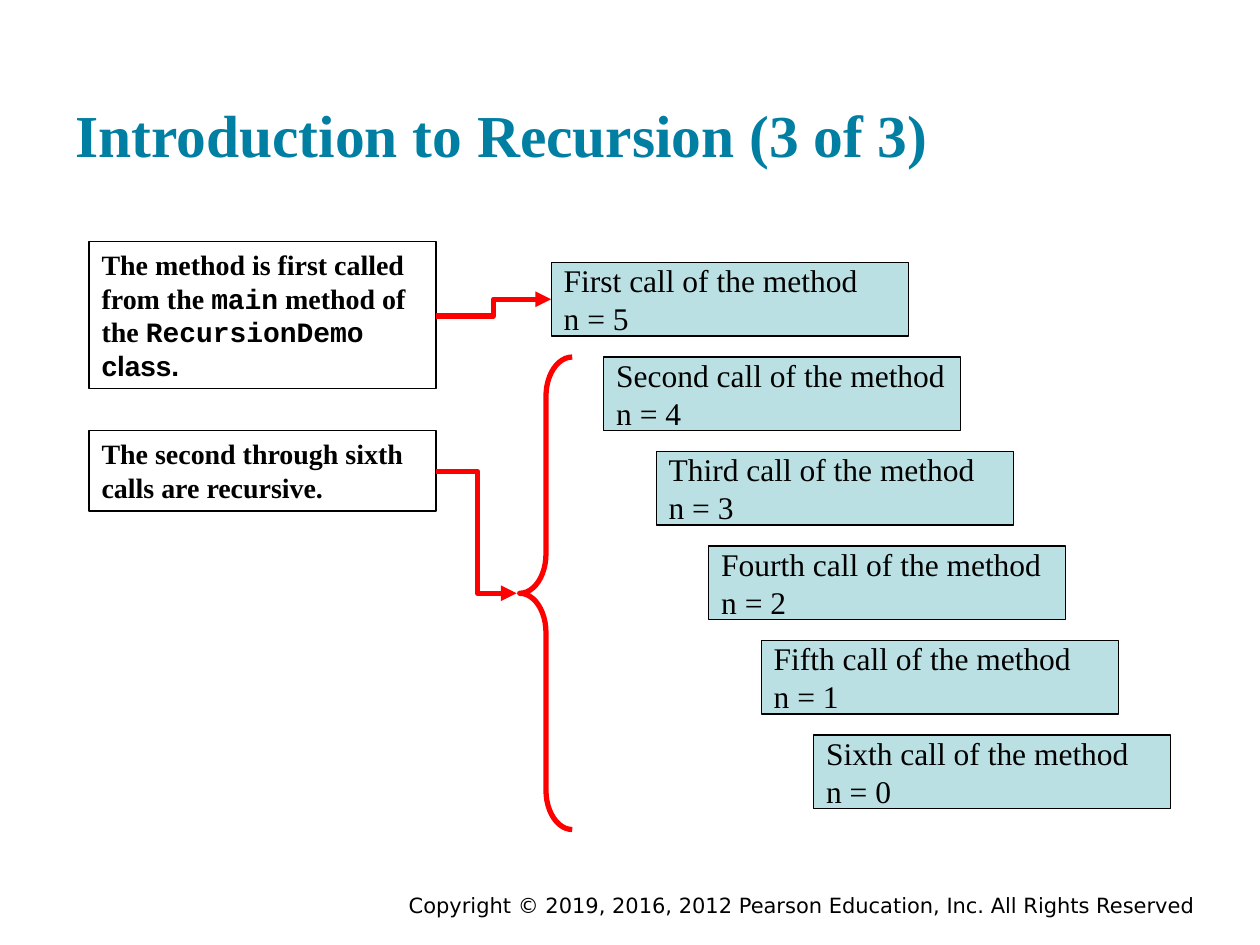
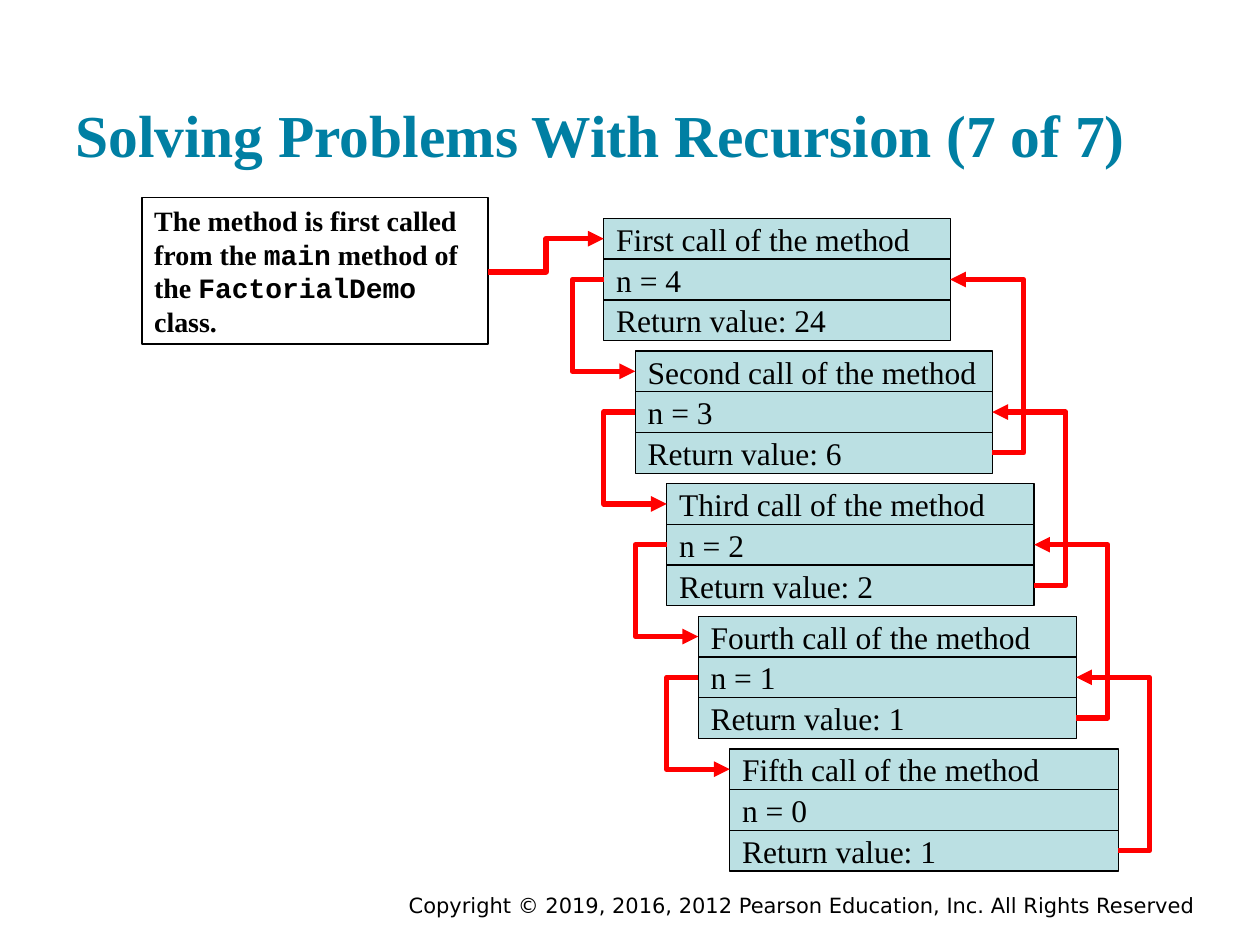
from pptx import Presentation
from pptx.dml.color import RGBColor
from pptx.enum.shapes import MSO_CONNECTOR, MSO_SHAPE
from pptx.enum.text import MSO_ANCHOR, MSO_AUTO_SIZE, PP_ALIGN
from pptx.oxml.ns import qn
from pptx.util import Inches, Pt
from lxml.etree import SubElement

BLACK = RGBColor(0x00, 0x00, 0x00)
TEAL = RGBColor(0x00, 0x7F, 0xA3)
PALE_BLUE = RGBColor(0xBB, 0xE0, 0xE3)
RED = RGBColor(0xFF, 0x00, 0x00)
SERIF = "Times New Roman"
SANS = "Arial"
MONO = "Courier New"
COPYRIGHT = "Copyright © 2019, 2016, 2012 Pearson Education, Inc. All Rights Reserved"
ORDINALS = ["First", "Second", "Third", "Fourth", "Fifth", "Sixth"]

COLS, ROWS = 120, 90
UNIT = Inches(10) / COLS
NOTE_W, NOTE_H = 33, 14
CALL_W = 34


def grid(*values):
    return [round(v * UNIT) for v in values]


def add_run(p, text, size, font=SERIF, color=BLACK, bold=False):
    r = p.add_run()
    r.text = text
    r.font.size = Pt(size)
    r.font.name = font
    r.font.color.rgb = color
    r.font.bold = bold


def style_title_layout(layout):
    sp = layout.placeholders[0]
    sp.left, sp.top, sp.width, sp.height = grid(6, 2.9, 108, 14.4)
    tf = sp.text_frame
    tf.vertical_anchor = MSO_ANCHOR.BOTTOM
    tf.margin_left = tf.margin_right = Inches(0.1)
    tf.margin_top = tf.margin_bottom = Inches(0.1)
    tf.auto_size = MSO_AUTO_SIZE.NONE


def add_slide(prs, layout, title):
    s = prs.slides.add_slide(layout)
    footer = s.shapes.add_textbox(*grid(21, 84.4, 94, 2.6))
    footer.text_frame.word_wrap = True
    p = footer.text_frame.paragraphs[0]
    p.alignment = PP_ALIGN.RIGHT
    add_run(p, COPYRIGHT, 12, "DejaVu Sans")
    p = s.shapes.title.text_frame.paragraphs[0]
    p.alignment = PP_ALIGN.LEFT
    add_run(p, title, 34, color=TEAL, bold=True)
    return s


def add_box(s, x, y, w, h, line_width):
    sp = s.shapes.add_shape(MSO_SHAPE.RECTANGLE, *grid(x, y, w, h))
    sp.shadow.inherit = False
    sp.fill.background()
    sp.line.color.rgb = BLACK
    sp.line.width = Pt(line_width)
    return sp


def add_call(s, x, y, w, h, lines):
    sp = add_box(s, x, y, w, h, 0.75)
    sp.fill.solid()
    sp.fill.fore_color.rgb = PALE_BLUE
    tf = sp.text_frame
    tf.word_wrap = False
    tf.vertical_anchor = MSO_ANCHOR.MIDDLE
    for i, line in enumerate(lines):
        p = tf.add_paragraph() if i else tf.paragraphs[0]
        p.alignment = PP_ALIGN.LEFT
        add_run(p, line, 18)


def add_note(s, x, y, h, runs):
    sp = add_box(s, x, y, NOTE_W, h, 1)
    tf = sp.text_frame
    tf.word_wrap = True
    tf.vertical_anchor = MSO_ANCHOR.TOP
    p = tf.paragraphs[0]
    p.alignment = PP_ALIGN.LEFT
    for text, font in runs:
        add_run(p, text, 16, font, bold=True)


def first_call_runs(class_name, *ending):
    return [
        ("The method is first called from the ", SERIF),
        ("main", MONO),
        (" method of the ", SERIF),
        (class_name, MONO),
        ending,
    ]


def add_arrow(s, x1, y1, x2, y2, bend_x):
    cx = s.shapes.add_connector(MSO_CONNECTOR.ELBOW, *grid(x1, y1, x2, y2))
    cx.line.color.rgb = RED
    cx.line.width = Pt(3)
    spPr = cx._element.spPr
    guides = spPr.find(qn("a:prstGeom")).get_or_add_avLst()
    bend = round((bend_x - x1) / (x2 - x1) * 100000)
    SubElement(guides, qn("a:gd"), name="adj1", fmla=f"val {bend}")
    SubElement(spPr.find(qn("a:ln")), qn("a:tailEnd"), type="triangle")
    SubElement(spPr, qn("a:effectLst"))


def add_brace(s, x, y, w, h):
    sp = s.shapes.add_shape(MSO_SHAPE.LEFT_BRACE, *grid(x, y, w, h))
    sp.adjustments[0] = 0.75
    sp.adjustments[1] = 0.5
    sp.shadow.inherit = False
    sp.fill.background()
    sp.line.color.rgb = RED
    sp.line.width = Pt(3)


def build_introduction(prs, layout):
    s = add_slide(prs, layout, "Introduction to Recursion (3 of 3)")
    call_x, call_y, call_h = 52.5, 25, 7
    step_x, step_y = 5, 9
    for i, ordinal in enumerate(ORDINALS):
        add_call(s, call_x + i * step_x, call_y + i * step_y, CALL_W, call_h,
                 [f"{ordinal} call of the method", f"n = {5 - i}"])

    note_x, note_y = 8.5, 23
    note_right = note_x + NOTE_W
    add_note(s, note_x, note_y, NOTE_H,
             first_call_runs("RecursionDemo ", "class.", SANS))
    add_note(s, note_x, 41, 7.7,
             [("The second through sixth calls are recursive.", SERIF)])

    brace_y, brace_h = call_y + step_y, 5 * step_y
    add_brace(s, 49.5, brace_y, 5, brace_h)
    add_arrow(s, note_right, 44.9, 49.2, brace_y + brace_h / 2, 45.5)
    add_arrow(s, note_right, note_y + NOTE_H / 2 + 0.1,
              call_x, call_y + call_h / 2, (note_right + call_x) / 2)


def build_factorial(prs, layout):
    s = add_slide(prs, layout, "Solving Problems With Recursion (7 of 7)")
    row_h, step_y, loop = 3.88, 12.63, 3
    results = [24, 6, 2, 1, 1]
    lefts = [57.5 + 3 * i for i in range(len(results))]
    widths = [33 + i for i in range(len(results))]
    rights = [x + w for x, w in zip(lefts, widths)]

    def row_top(call, row):
        return 20.8 + call * step_y + row * row_h

    def row_mid(call, row):
        return row_top(call, row) + row_h / 2

    for i, result in enumerate(results):
        lines = [f"{ORDINALS[i]} call of the method", f"n = {4 - i}",
                 f"Return value: {result}"]
        for row, line in enumerate(lines):
            add_call(s, lefts[i], row_top(i, row), widths[i], row_h, [line])

    for i in range(len(results) - 1):
        add_arrow(s, lefts[i], row_mid(i, 1),
                  lefts[i + 1], row_mid(i + 1, 0), lefts[i] - loop)
        add_arrow(s, rights[i + 1], row_mid(i + 1, 2),
                  rights[i], row_mid(i, 1), rights[i + 1] + loop)

    note_x, note_y = 13.5, 18.8
    note_right = note_x + NOTE_W
    add_note(s, note_x, note_y, NOTE_H,
             first_call_runs("FactorialDemo", " class.", SERIF))
    add_arrow(s, note_right, note_y + NOTE_H / 2 + 0.1,
              lefts[0], row_mid(0, 0), (note_right + lefts[0]) / 2)


def main():
    prs = Presentation()
    prs.slide_width, prs.slide_height = grid(COLS, ROWS)
    layout = prs.slide_layouts[5]
    style_title_layout(layout)
    build_introduction(prs, layout)
    build_factorial(prs, layout)
    prs.save("out.pptx")


if __name__ == "__main__":
    main()
